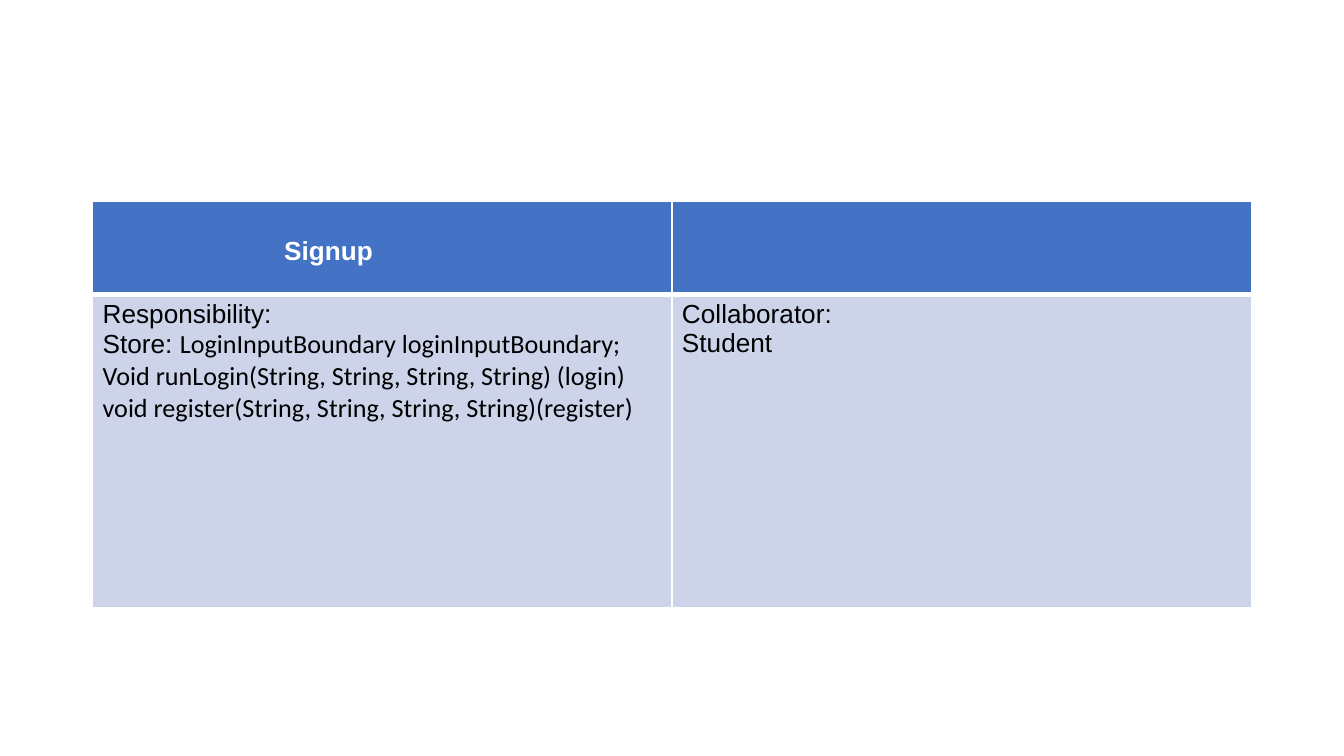
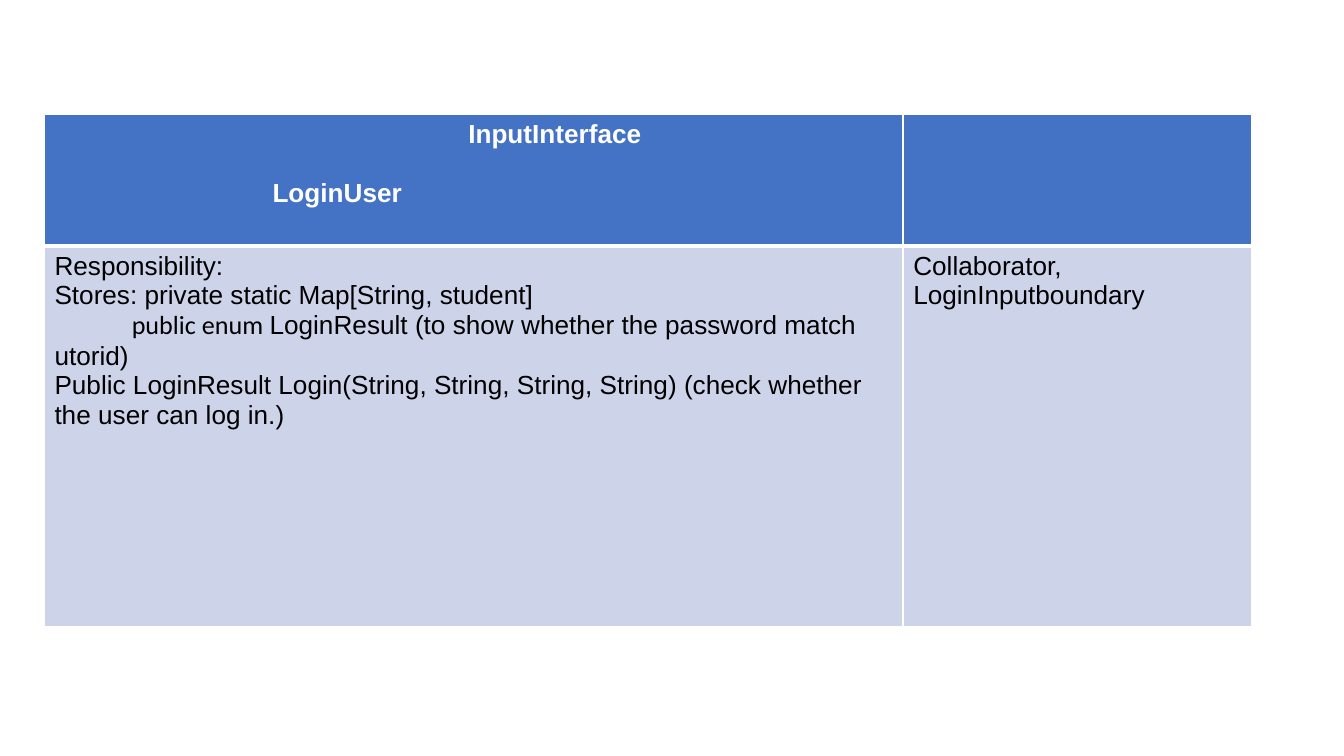
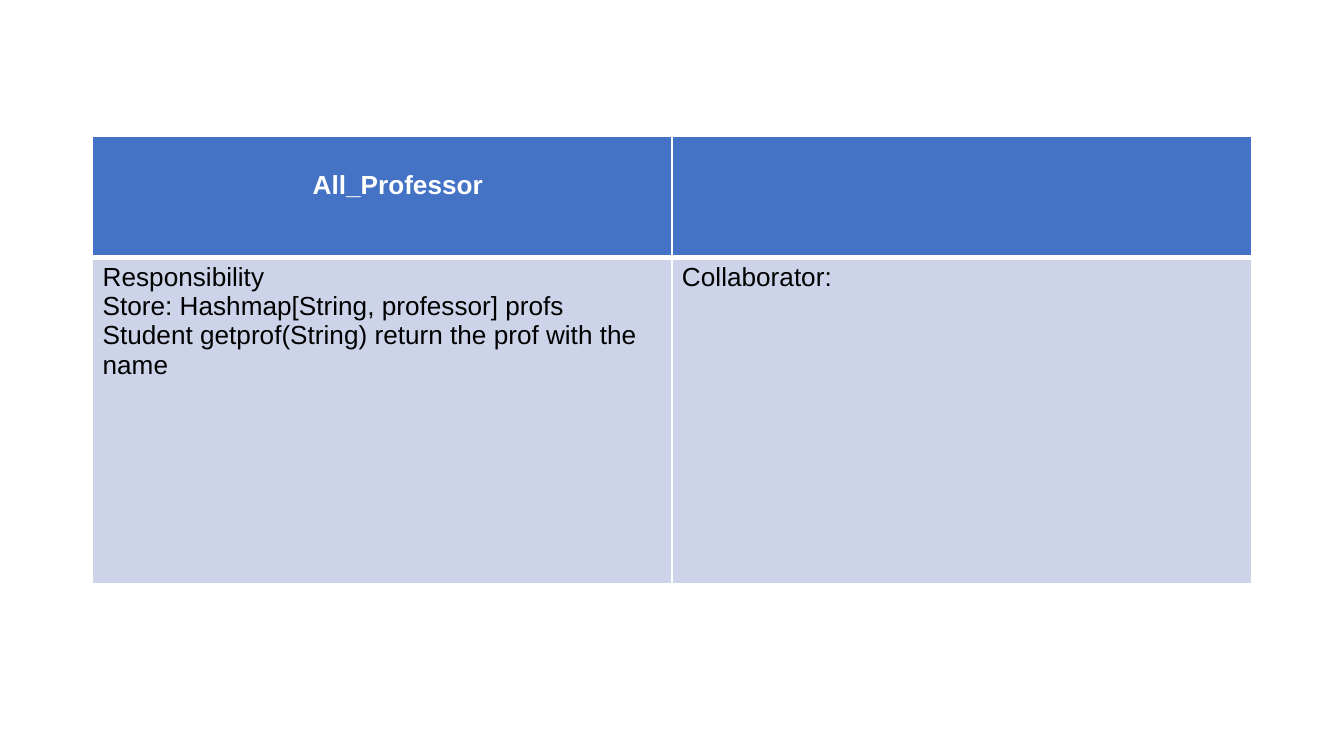
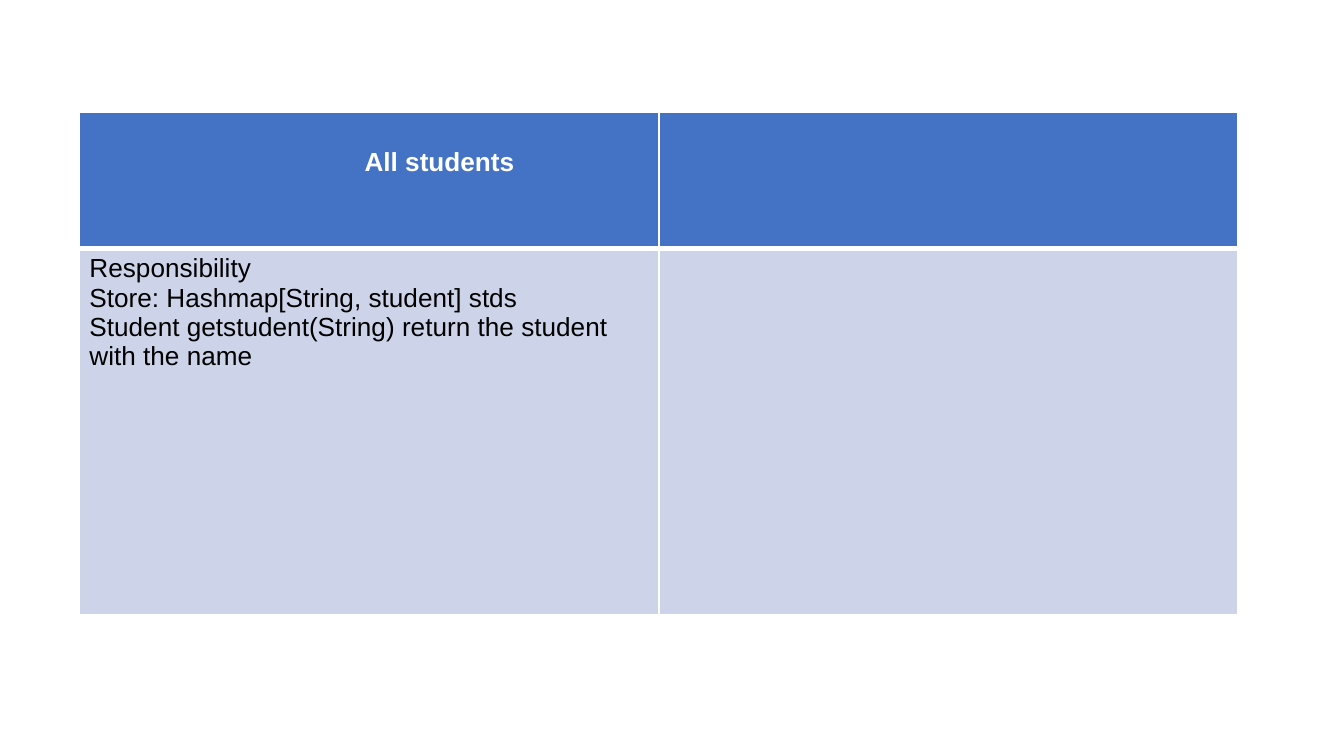
from dataclasses import dataclass

from lxml.etree import SubElement
from pptx import Presentation
from pptx.dml.color import RGBColor
from pptx.oxml.ns import qn
from pptx.util import Cm, Pt

# Shared look
WHITE = RGBColor(0xFF, 0xFF, 0xFF)
BLACK = RGBColor(0x00, 0x00, 0x00)
HEADER_BLUE = RGBColor(0x44, 0x72, 0xC4)
BODY_BLUE = RGBColor(0xCD, 0xD4, 0xEA)
ARIAL, CALIBRI = "Arial", "Calibri"
TEXT_SIZE = Pt(14)
THIN, THICK = Pt(1), Pt(3)
SIDE_MARGIN, END_MARGIN = 0.19, 0.1
HEADER_DROP = 0.56  # one text line above most class names
BLANK_LAYOUT = 6


@dataclass
class Line:
    text: str
    font: str = ARIAL
    lead: str = ""        # opening words, in lead_font
    lead_font: str = ARIAL
    indent: float = 0     # first line only, in cm
    before: float = 0     # space above, in points


# Content: one class card per slide, lengths in cm
CARDS = [
    {
        "at": (1.75, 3.81), "columns": (10.95, 10.95), "rows": (1.75, 5.92),
        "drop": HEADER_DROP,
        "name": [Line("Signup", indent=3.43)],
        "responsibility": [
            Line("Responsibility:"),
            Line("LoginInputBoundary loginInputBoundary;", CALIBRI, lead="Store: "),
            Line("Void runLogin(String, String, String, String) (login)", CALIBRI),
            Line("void register(String, String, String, String)(register)", CALIBRI),
        ],
        "collaborator": [Line("Collaborator:"), Line("Student")],
    },
    {
        "at": (0.84, 2.16), "columns": (16.23, 6.58), "rows": (2.49, 7.19),
        "drop": 0,
        "name": [
            Line("InputInterface", indent=7.82),
            Line("LoginUser", indent=4.12, before=16),
        ],
        "responsibility": [
            Line("Responsibility:"),
            Line("Stores: private static Map[String, student]"),
            Line("LoginResult (to show whether the password match utorid)",
                 lead="public enum ", lead_font=CALIBRI, indent=1.46),
            Line("Public LoginResult Login(String, String, String, String) "
                 "(check whether the user can log in.)"),
        ],
        "collaborator": [Line("Collaborator,"), Line("LoginInputboundary")],
    },
    {
        "at": (1.75, 2.57), "columns": (10.95, 10.95), "rows": (2.29, 6.17),
        "drop": HEADER_DROP,
        "name": [Line("All_Professor", indent=3.97)],
        "responsibility": [
            Line("Responsibility"),
            Line("Store: Hashmap[String, professor] profs"),
            Line("Student getprof(String) return the prof with the name"),
        ],
        "collaborator": [Line("Collaborator:")],
    },
    {
        "at": (1.5, 2.13), "columns": (10.95, 10.95), "rows": (2.57, 6.93),
        "drop": HEADER_DROP,
        "name": [Line("All students", indent=5.2)],
        "responsibility": [
            Line("Responsibility"),
            Line("Store: Hashmap[String, student] stds"),
            Line("Student getstudent(String) return the student with the name"),
        ],
        "collaborator": [],
    },
]


def set_borders(cell, top, bottom):
    """Draw white borders; called before the fill, which must follow them."""
    properties = cell._tc.get_or_add_tcPr()
    for side, width in (("L", THIN), ("R", THIN), ("T", top), ("B", bottom)):
        border = SubElement(properties, qn(f"a:ln{side}"), w=str(width))
        solid = SubElement(border, qn("a:solidFill"))
        SubElement(solid, qn("a:srgbClr"), val=str(WHITE))


def write_lines(cell, lines, color, bold):
    frame = cell.text_frame
    for number, line in enumerate(lines):
        paragraph = frame.add_paragraph() if number else frame.paragraphs[0]
        paragraph.font.size = TEXT_SIZE
        paragraph.font.bold = bold
        paragraph.font.color.rgb = color
        paragraph.font.name = line.font
        if line.before:
            paragraph.space_before = Pt(line.before)
        if line.indent:
            settings = paragraph._p.get_or_add_pPr()
            settings.set("marL", "0")
            settings.set("indent", str(Cm(line.indent)))
        if line.lead:
            opening = paragraph.add_run()
            opening.text = line.lead
            opening.font.name = line.lead_font
        paragraph.add_run().text = line.text


def format_cell(cell, lines, is_header, drop):
    cell.margin_left = cell.margin_right = Cm(SIDE_MARGIN)
    cell.margin_top, cell.margin_bottom = Cm(END_MARGIN + drop), Cm(END_MARGIN)
    if is_header:
        set_borders(cell, THIN, THICK)
    else:
        set_borders(cell, THICK, THIN)
    cell.fill.solid()
    cell.fill.fore_color.rgb = HEADER_BLUE if is_header else BODY_BLUE
    write_lines(cell, lines, WHITE if is_header else BLACK, is_header)


def add_card(slide, card):
    left, top = card["at"]
    columns, rows = card["columns"], card["rows"]
    table = slide.shapes.add_table(
        len(rows), len(columns), Cm(left), Cm(top),
        Cm(sum(columns)), Cm(sum(rows))).table
    for column, width in zip(table.columns, columns):
        column.width = Cm(width)
    for row, height in zip(table.rows, rows):
        row.height = Cm(height)

    contents = [(card["name"], []), (card["responsibility"], card["collaborator"])]
    for r, row_lines in enumerate(contents):
        for c, lines in enumerate(row_lines):
            drop = card["drop"] if r == 0 and lines else 0
            format_cell(table.cell(r, c), lines, r == 0, drop)


# Build the deck
deck = Presentation()
deck.slide_width, deck.slide_height = Cm(25.4), Cm(14.29)
for card in CARDS:
    add_card(deck.slides.add_slide(deck.slide_layouts[BLANK_LAYOUT]), card)
deck.save("out.pptx")
